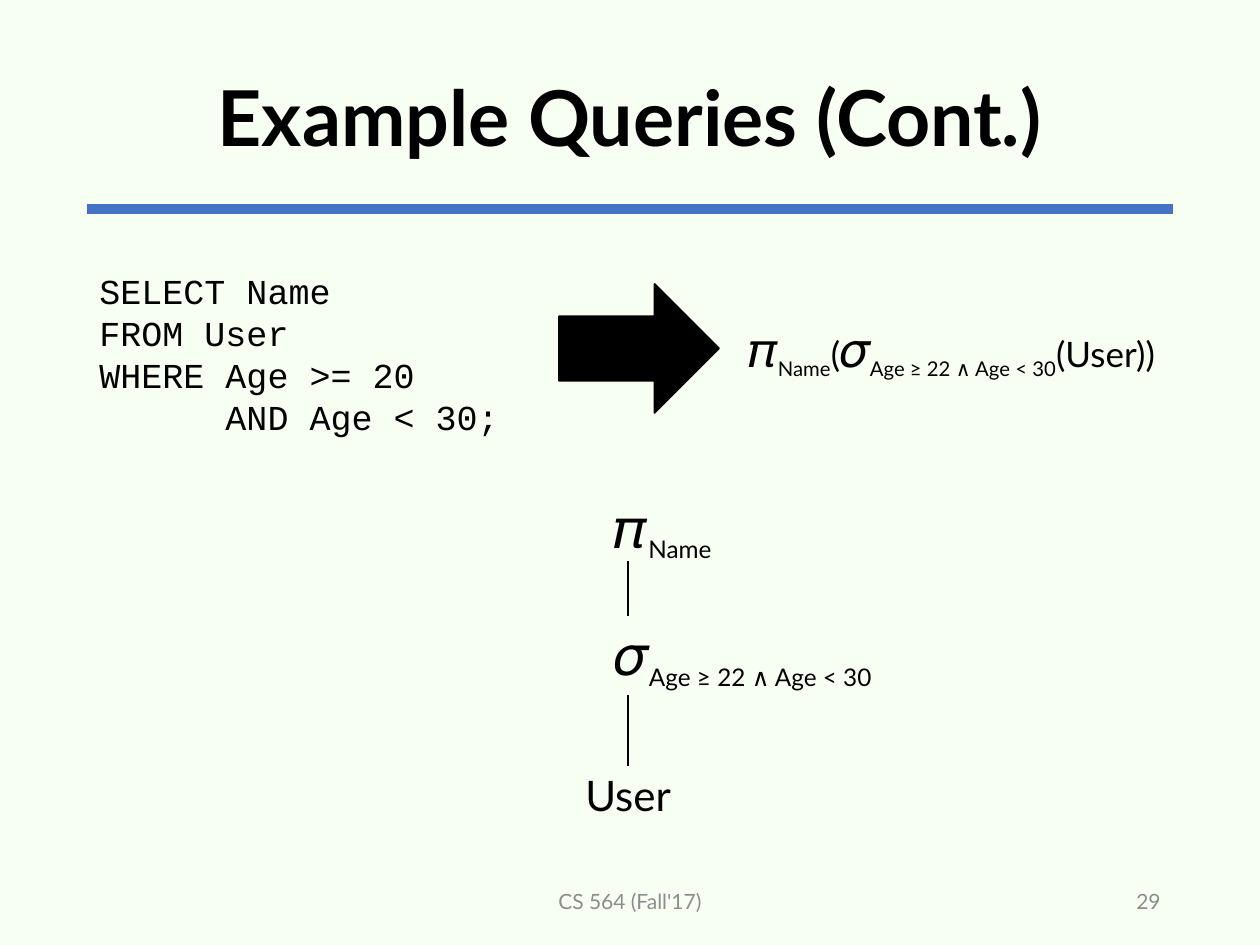
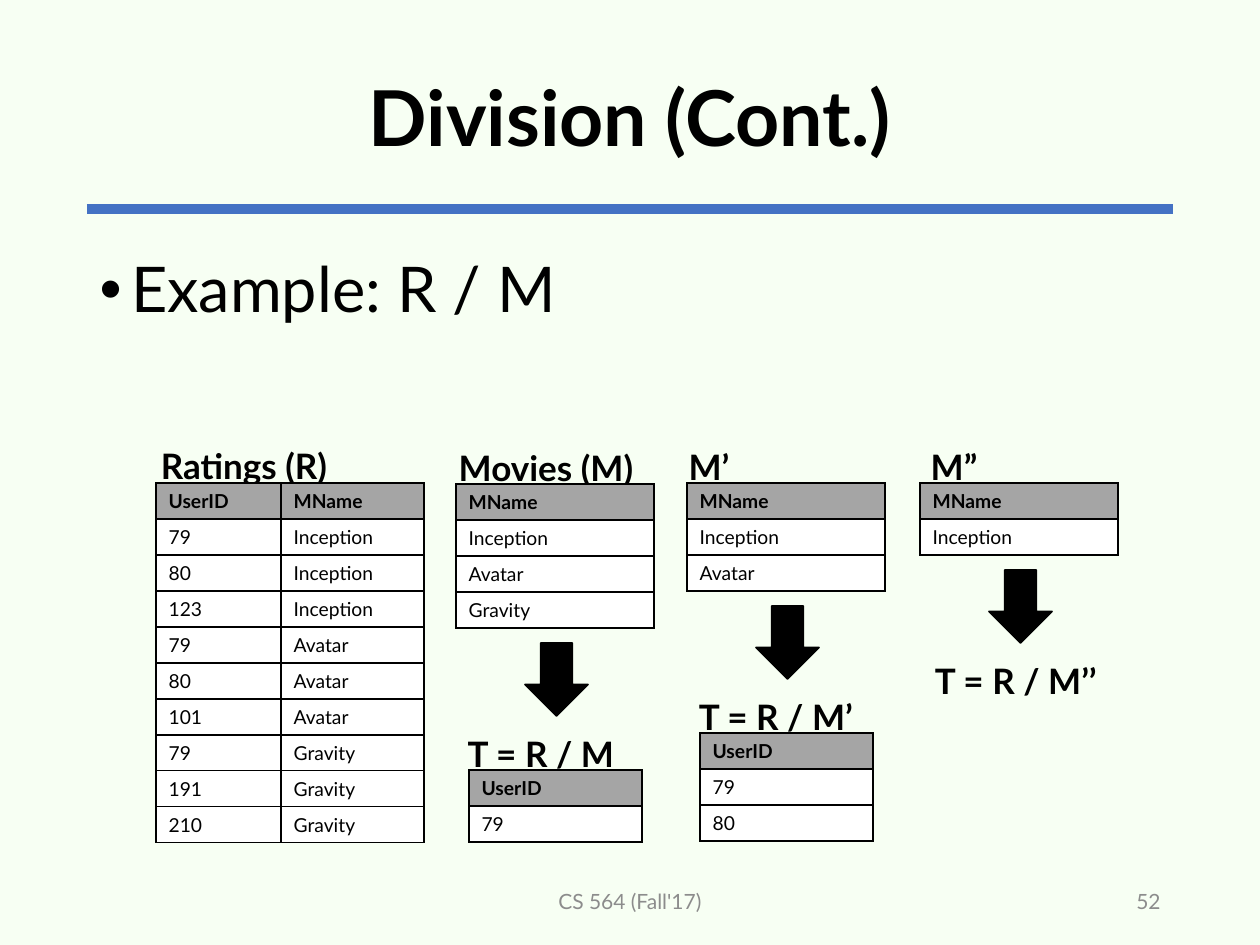
from lxml.etree import SubElement
from pptx import Presentation
from pptx.dml.color import RGBColor
from pptx.enum.shapes import MSO_CONNECTOR, MSO_SHAPE
from pptx.enum.text import MSO_ANCHOR, PP_ALIGN
from pptx.oxml import parse_xml
from pptx.oxml.ns import nsdecls, qn
from pptx.util import Emu, Pt

SCALE = 914400 / 126
HEX = {"page": "F7FFF3", "rule": "4472C4", "ink": "000000",
       "foot": "8C8C8C", "head": "A5A5A5", "cell": "FFFFFF"}
LEFT, MID, RIGHT = PP_ALIGN.LEFT, PP_ALIGN.CENTER, PP_ALIGN.RIGHT
ROW = 36
COND = "Age ≥ 22 ∧ Age < 30"


def px(num):
    return Emu(round(num * SCALE))


def color(name):
    return RGBColor.from_string(HEX[name])


def style(font, size, ink="ink", **extra):
    form = {"name": "Lato", "size": Pt(size), "bold": False, **extra}
    for key, value in form.items():
        setattr(font, key, value)
    font.color.rgb = color(ink)


def place(shape, box):
    for key, num in zip(("left", "top", "width", "height"), box):
        setattr(shape, key, px(num))


# Basic parts
def text(slide, box, lines, size, align=LEFT, anchor=MSO_ANCHOR.TOP,
         space=None, wrap=True, inset=True, **form):
    shape = slide.shapes.add_textbox(*map(px, box))
    frame = shape.text_frame
    frame.word_wrap, frame.vertical_anchor = wrap, anchor
    if not inset:
        for side in ("left", "top", "right", "bottom"):
            setattr(frame, "margin_" + side, 0)
    for num, line in enumerate(lines):
        para = frame.add_paragraph() if num else frame.paragraphs[0]
        para.alignment, para.line_spacing = align, space
        runs = [(line, size, False)] if isinstance(line, str) else line
        for words, points, sub in runs:
            run = para.add_run()
            run.text = words
            style(run.font, points, **form)
            if sub:
                run._r.get_or_add_rPr().set("baseline", "-25000")
    return shape


def line(slide, start, end, ink, width):
    link = slide.shapes.add_connector(
        MSO_CONNECTOR.STRAIGHT, *map(px, start + end))
    link.line.color.rgb, link.line.width = color(ink), Pt(width)
    SubElement(link._element.spPr, qn("a:effectLst"))
    return link


def arrow(slide, box, turn=0):
    shape = slide.shapes.add_shape(MSO_SHAPE.RIGHT_ARROW, *map(px, box))
    shape.rotation, shape.shadow.inherit = turn, False
    shape.fill.solid()
    shape.fill.fore_color.rgb = shape.line.color.rgb = color("ink")
    shape.line.width = Pt(1)


def edge(cell):
    props = cell._tc.get_or_add_tcPr()
    for num, tag in enumerate(("lnL", "lnR", "lnT", "lnB")):
        props.insert(num, parse_xml(
            f'<a:{tag} {nsdecls("a")} w="12700"><a:solidFill>'
            f'<a:srgbClr val="{HEX["ink"]}"/></a:solidFill></a:{tag}>'))


def table(slide, left, top, widths, rows):
    grid = slide.shapes.add_table(
        len(rows), len(widths), px(left), px(top),
        px(sum(widths)), px(ROW * len(rows))).table
    for col, width in zip(grid.columns, widths):
        col.width = px(width)
    for r, row in enumerate(rows):
        grid.rows[r].height = px(ROW)
        for c, words in enumerate(row):
            cell = grid.cell(r, c)
            cell.text = words
            style(cell.text_frame.paragraphs[0].runs[0].font, 11, bold=r == 0)
            cell.fill.solid()
            cell.fill.fore_color.rgb = color("cell" if r else "head")
            edge(cell)


# Shared frame: background, title, rule, footer
def base(deck, layout, title, page):
    slide = deck.slides.add_slide(deck.slide_layouts[layout])
    slide.background.fill.solid()
    slide.background.fill.fore_color.rgb = color("page")
    line(slide, (87, 209), (1173, 209), "rule", 6)
    head = slide.shapes.title
    place(head, (87, 30, 1086, 183))
    head.text_frame.text = title
    head.text_frame.vertical_anchor = MSO_ANCHOR.MIDDLE
    para = head.text_frame.paragraphs[0]
    para.alignment, para.line_spacing = MID, 0.9
    style(para.runs[0].font, 44, bold=True)
    for box, words, align in (((417, 876, 426, 50), "CS 564 (Fall'17)", MID),
                              ((890, 876, 283, 50), page, RIGHT)):
        text(slide, box, [words], 12, align, MSO_ANCHOR.MIDDLE, ink="foot")
    return slide


# Slide 1: SQL, algebra and operator tree
def tree(slide, x, y):
    for down, tall, sign, sub in ((0, 64, "𝜋", "Name"),
                                  (120, 79, "𝜎", COND)):
        text(slide, (x - 13, y + down, 340, tall),
             [[(sign, 32, False), (sub, 24, True)]], 24,
             anchor=MSO_ANCHOR.MIDDLE, inset=False)
    leaf = text(slide, (x - 60, y + 270, 120, 57), ["User"], 24, MID,
                MSO_ANCHOR.MIDDLE, inset=False)
    line(slide, (x, y + 65), (x, y + 120), "ink", 1.5)
    stem = line(slide, (x, y + 199), (x, y + 270), "ink", 1.5)
    stem.end_connect(leaf, 0)


def query(deck):
    slide = base(deck, 5, "Example Queries (Cont.)", "29")
    text(slide, (87, 263, 431, 181),
         ["SELECT Name", "FROM User", "WHERE Age >= 20",
          "      AND Age < 30;"], 20, name="Courier New")
    arrow(slide, (559, 284, 160, 129))
    text(slide, (731, 312, 442, 72),
         [[("𝜋", 28, False), ("Name", 20, True), ("(", 20, False),
           ("𝜎", 28, False), (COND, 20, True), ("(User))", 20, False)]],
         20, MID, wrap=False)
    tree(slide, 628, 496)


# Slide 2: tables with their quotients
def label(slide, mid, top, words, width=315):
    text(slide, (mid - width / 2, top, width, 95), [words], 20, MID,
         space=Pt(42), bold=True)


def divide(slide, x, y, name, shift, width, names, quot, move, ids):
    label(slide, x + shift, y - 75, name, width)
    table(slide, x, y, [198], [["MName"]] + [[n] for n in names])
    end = y + ROW * (len(names) + 1)
    arrow(slide, (x + 64, end + 20, 73, 63), 90)
    label(slide, x + move, end + 67, quot)
    if ids:
        table(slide, x + 13, end + 142, [173],
              [["UserID"]] + [[n] for n in ids])


def split(deck):
    slide = base(deck, 1, "Division (Cont.)", "52")
    body = slide.placeholders[1]
    place(body, (87, 252, 1086, 600))
    body.text_frame.text = "Example: R / M"
    para = body.text_frame.paragraphs[0]
    props = para._p.get_or_add_pPr()
    props.set("marL", "228600")
    props.set("indent", "-228600")
    SubElement(props, qn("a:buChar")).set("char", "•")
    para.line_spacing, para.space_before = 0.9, Pt(0)
    style(para.runs[0].font, 36)

    films = ["Inception", "Avatar", "Gravity"]
    users = [["79", "80", "123"], ["79", "80", "101"], ["79", "191", "210"]]
    rows = [[user, film] for film, group in zip(films, users)
            for user in group]
    label(slide, 244, 407, "Ratings (R)")
    table(slide, 156, 483, [125, 143], [["UserID", "MName"]] + rows)
    for col in (
            (456, 484, "Movies (M)", 90, 315, films, "T = R / M", 85, ["79"]),
            (687, 483, "M’", 22, 118, films[:2], "T = R / M’", 89,
             ["79", "80"]),
            (920, 483, "M”", 34, 118, films[:1], "T = R / M’’", 96, [])):
        divide(slide, *col)


def main():
    deck = Presentation()
    deck.slide_width, deck.slide_height = px(1260), px(945)
    query(deck)
    split(deck)
    deck.save("out.pptx")


if __name__ == "__main__":
    main()
